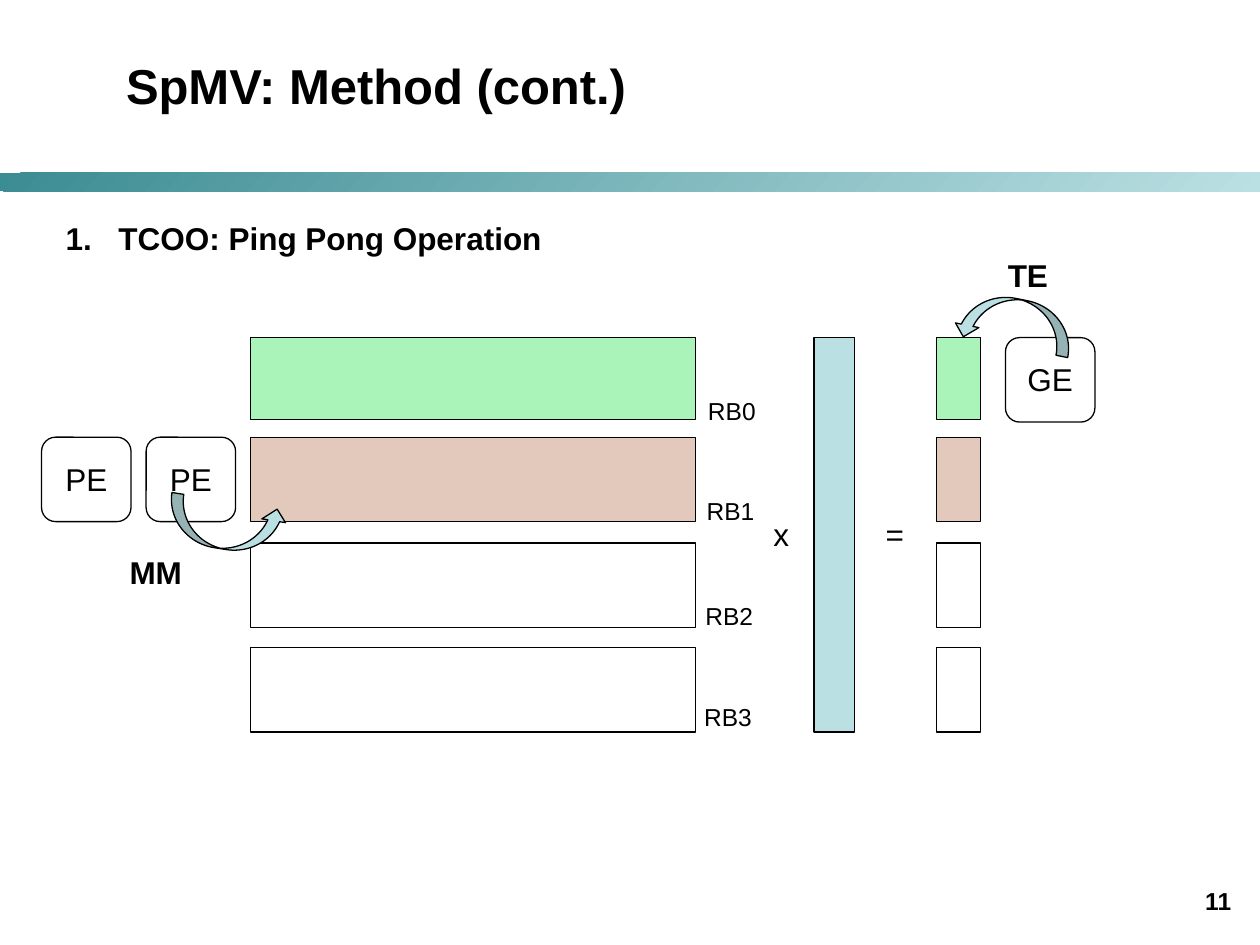
from pptx import Presentation
from pptx.dml.color import RGBColor
from pptx.enum.shapes import MSO_SHAPE
from pptx.enum.text import MSO_ANCHOR, PP_ALIGN
from pptx.oxml.xmlchemy import OxmlElement
from pptx.util import Pt

PX = 9144  # 100 px to the inch
BLACK, WHITE = "000000", "FFFFFF"
GREEN, TAN, AQUA, TEAL = "AAF4BA", "E2C9BC", "BBE0E3", "3C8C93"

# Row blocks: name, top, height, fill, label left, label top
ROWS = [
    ("RB0", 0, 65, GREEN, 353, 41),
    ("RB1", 79, 67, TAN, 352, 121),
    ("RB2", 163, 67, WHITE, 351, 204),
    ("RB3", 246, 67, WHITE, 350, 284),
]


def color(code):
    return RGBColor.from_string(code)


def place(item, x, y, w, h):
    item.left, item.top, item.width, item.height = (v * PX for v in (x, y, w, h))


def write(frame, text, size=18, bold=False, align=PP_ALIGN.LEFT):
    para = frame.paragraphs[0]
    para.alignment = align
    run = para.add_run()
    run.text = text
    font = run.font
    font.name, font.size, font.bold = "Arial", Pt(size), bold
    font.color.rgb = color(BLACK)
    return para


def label(slide, text, x, y, w, h, wrap=True, **style):
    box = slide.shapes.add_textbox(x * PX, y * PX, w * PX, h * PX)
    box.text_frame.word_wrap = wrap
    write(box.text_frame, text, **style)


def block(slide, x, y, w, h, fill, kind=MSO_SHAPE.RECTANGLE):
    shape = slide.shapes.add_shape(kind, x * PX, y * PX, w * PX, h * PX)
    shape.shadow.inherit = False
    shape.fill.solid()
    shape.fill.fore_color.rgb = color(fill)
    shape.line.color.rgb = color(BLACK)
    shape.line.width = Pt(0.75)
    return shape


def header(slide, x, y, w):
    # Title
    title = slide.shapes.title
    place(title, x + 90, y + 5, 874, 125)
    title.text_frame.vertical_anchor = MSO_ANCHOR.MIDDLE
    write(title.text_frame, "SpMV: Method (cont.)", 28, True)
    # Gradient band
    band = block(slide, x, y + 137, w, 15, TEAL)
    band.line.fill.background()
    band.fill.gradient()
    band.fill.gradient_angle = 318
    for stop, code in zip(band.fill.gradient_stops, (TEAL, AQUA)):
        stop.color.rgb = color(code)


def topic(slide, x, y, w, h):
    # Numbered heading
    body = slide.placeholders[1]
    place(body, x, y, w, h)
    para = write(body.text_frame, "TCOO: Ping Pong Operation", 18, True)
    para.space_before = Pt(0)
    props = para._p.get_or_add_pPr()
    props.set("marL", str(42 * PX))
    props.set("indent", str(-42 * PX))
    number = OxmlElement("a:buAutoNum")
    number.set("type", "arabicPeriod")
    props.append(number)


def product(slide, x, y):
    # Matrix rows and result rows
    for name, top, tall, fill, left, base in ROWS:
        block(slide, x, y + top, 353, tall, fill)
        block(slide, x + 544, y + top, 35, tall, fill)
        label(slide, name, x + left, y + base, 62, 35, size=14)
    # Vector and signs
    block(slide, x + 447, y, 32, 313, AQUA)
    label(slide, "x", x + 405, y + 136, 33, 40, wrap=False)
    label(slide, "=", x + 494, y + 136, 35, 40, wrap=False)


def engine(slide, text, x, y):
    block(slide, x, y, 71, 67, WHITE, MSO_SHAPE.ROUNDED_RECTANGLE)
    label(slide, text, x + 7, y + 13, 57, 40, align=PP_ALIGN.CENTER)


def move(slide, text, x, y, turn, left, top):
    # Curved arrow with its caption
    arrow = block(slide, x, y, 38, 94, AQUA, MSO_SHAPE.CURVED_RIGHT_ARROW)
    arrow.rotation = turn
    label(slide, text, x + left, y + top, 62, 40, bold=True)


def main():
    deck = Presentation()
    deck.slide_width, deck.slide_height = 1000 * PX, 750 * PX
    slide = deck.slides.add_slide(deck.slide_layouts[1])
    header(slide, 0, 0, 1000)
    topic(slide, 42, 169, 426, 65)
    product(slide, 199, 268)
    for text, x, y in (("PE", 33, 347), ("PE", 116, 347), ("GE", 798, 268)):
        engine(slide, text, x, y)
    move(slide, "MM", 161, 370, 279, -68, 64)
    move(slide, "TE", 786, 209, 101.3, 4, -11)
    # Page number
    label(slide, "11", 866, 698, 121, 52, size=14, bold=True, align=PP_ALIGN.RIGHT)
    deck.save("out.pptx")


if __name__ == "__main__":
    main()
